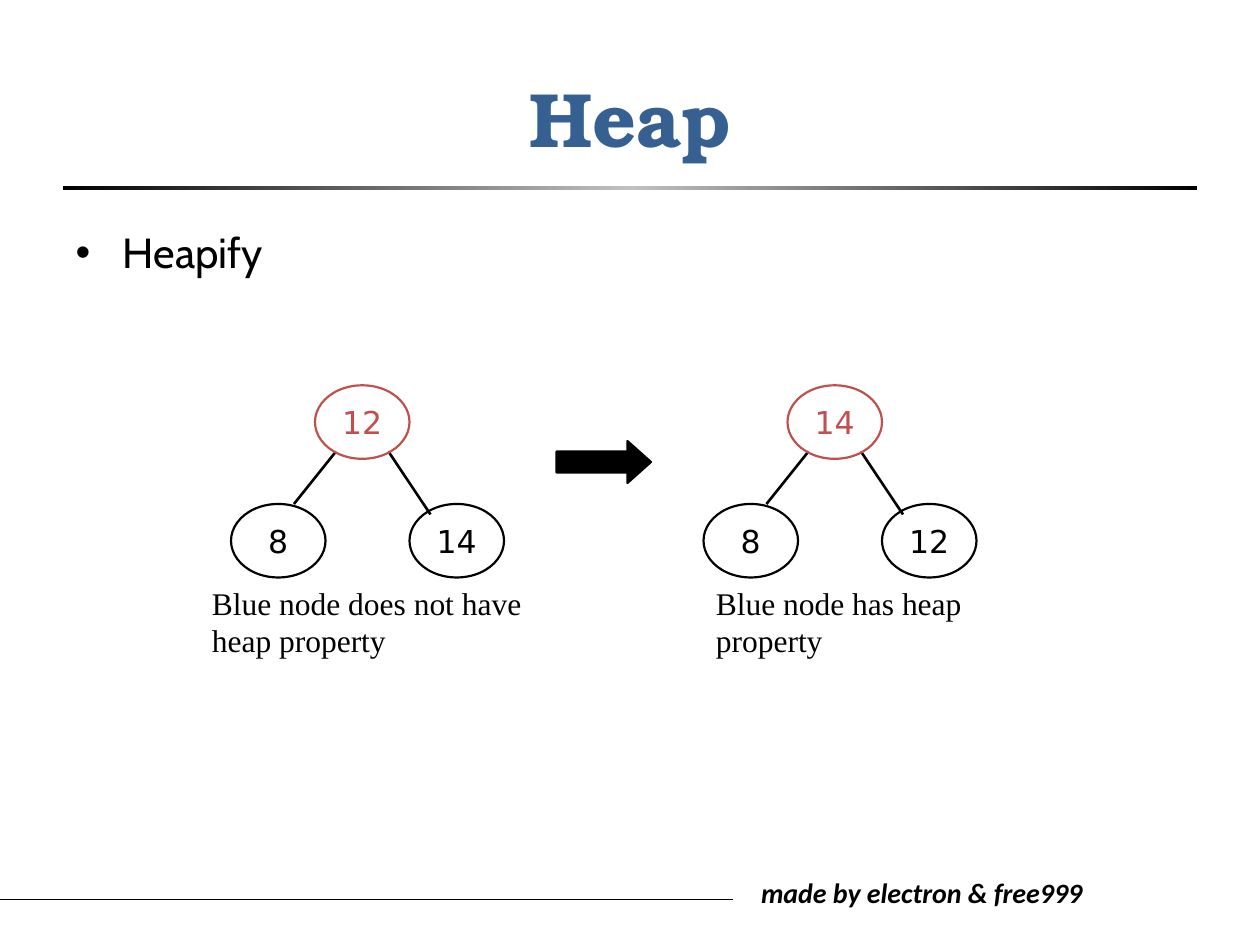
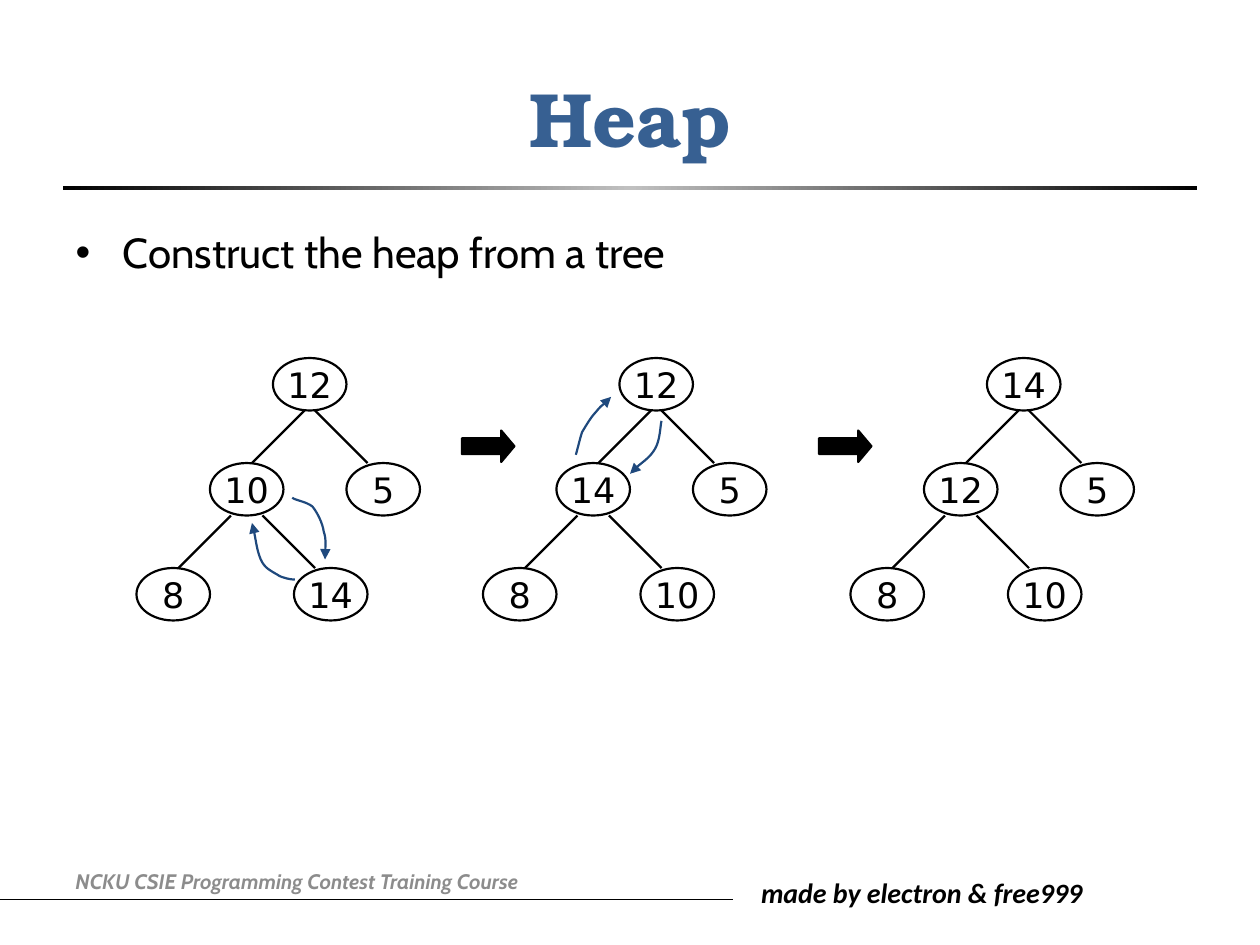
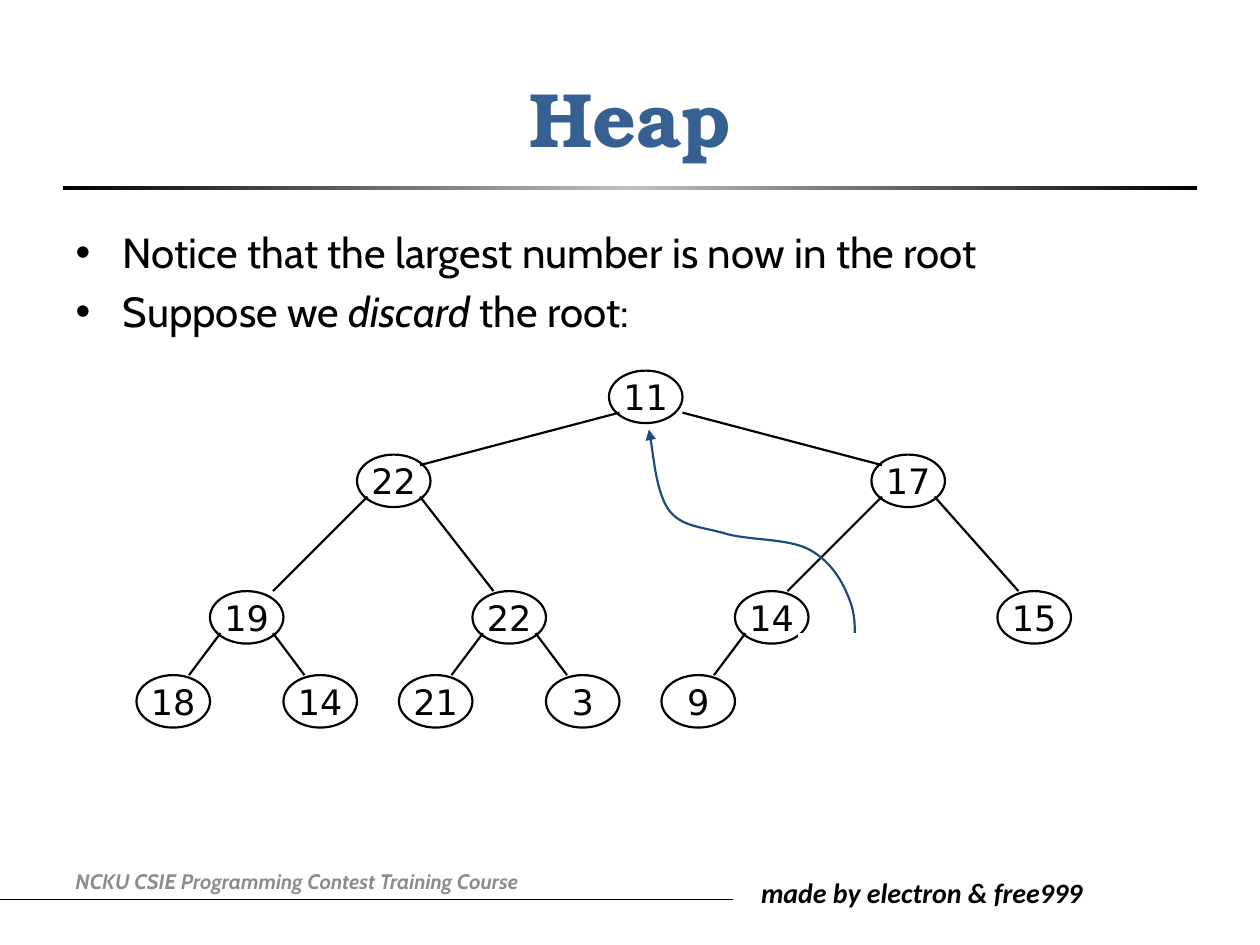
from copy import deepcopy
from dataclasses import dataclass

from lxml.etree import SubElement
from pptx import Presentation
from pptx.dml.color import RGBColor
from pptx.enum.shapes import MSO_CONNECTOR, MSO_SHAPE
from pptx.enum.text import MSO_ANCHOR, PP_ALIGN
from pptx.oxml.ns import qn
from pptx.util import Inches, Pt


@dataclass(frozen=True)
class Theme:
    ink: str = "000000"
    title: str = "376092"
    accent: str = "C0504D"
    swap: str = "1F497D"
    muted: str = "8C8C8C"
    silver: str = "C0C0C0"
    paper: str = "FFFFFF"
    title_font: str = "TeX Gyre Bonum"
    body_font: str = "Cabin"
    node_font: str = "DejaVu Sans"
    caption_font: str = "Times New Roman"
    credit_font: str = "Calibri"
    title_size: int = 44
    body_size: int = 24
    node_size: int = 20
    caption_size: int = 18
    credit_size: int = 16
    course_size: int = 12


T = Theme()
CELL = Inches(1) // 12  # the slide is a grid of 120 columns by 90 rows


def style(p, font, size, color, bold=None):
    for r in p.runs:
        r.font.name, r.font.size, r.font.bold = font, Pt(size), bold
        r.font.color.rgb = RGBColor.from_string(color)


def add_shape(s, kind, col, row, width, height, fill=None, line=None):
    sp = s.shapes.add_shape(kind, *(round(v * CELL) for v in (col, row, width, height)))
    sp.shadow.inherit = False
    if fill:
        sp.fill.solid()
        sp.fill.fore_color.rgb = RGBColor.from_string(fill)
    else:
        sp.fill.background()
    if line:
        sp.line.color.rgb = RGBColor.from_string(line)
        sp.line.width = Pt(1.25)
    else:
        sp.line.fill.background()
    return sp


# Slide 1: a three-node tree before and after, 45 columns apart
heapify = dict(
    bullets=["Heapify"], node=(9, 7, T.caption_size), edge_width=1.5,
    nodes=[], edges=[], arrows=[(53, 42, 9, 4, 0.56)], curves=[], course=False,
    captions=[("Blue node does not have heap property", 19, 55, 34, 10.8),
              ("Blue node has heap property", 67, 55, 26, 10.8)])
for col, (root, left, right) in ((22, ("12", "8", "14")), (67, ("14", "8", "12"))):
    heapify["nodes"] += [(root, col + 8, 36.7, T.accent),
                         (left, col, 48, T.ink), (right, col + 17, 48, T.ink)]
    heapify["edges"] += [(col + 10, 43, col + 6, 48), (col + 15, 43, col + 19, 49)]

# Slide 2: the same five-node tree in three states
construct = dict(
    bullets=["Construct the heap from a tree"], node=(7, 5, T.node_size), edge_width=1.25,
    nodes=[], edges=[], arrows=[(44, 41, 5, 3, 0.42), (78, 41, 5, 3, 0.42)],
    captions=[], course=True,
    curves=[
        [(2.34, 4.6), (2.32, 4.6), (2.24, 4.59), (2.2, 4.56), (2.15, 4.53), (2.1, 4.51),
         (2.07, 4.44), (2.04, 4.37), (2.02, 4.21), (2, 4.15)],
        [(2.32, 3.95), (2.34, 3.97), (2.43, 3.98), (2.48, 4.02), (2.52, 4.07), (2.56, 4.15),
         (2.57, 4.22), (2.59, 4.28), (2.58, 4.4), (2.58, 4.44)],
        [(4.57, 3.61), (4.58, 3.58), (4.6, 3.49), (4.62, 3.43), (4.65, 3.38), (4.69, 3.31),
         (4.73, 3.27), (4.77, 3.22), (4.83, 3.18), (4.85, 3.15)],
        [(5.25, 3.34), (5.24, 3.38), (5.24, 3.49), (5.2, 3.56), (5.16, 3.63), (5.04, 3.71),
         (5, 3.76)]])
places = [(13, 34.1), (7, 44.1), (20, 44.1), (0, 54.1), (15, 54.1)]
branches = [(16, 39.1, 11, 44.1), (17, 39.1, 22, 44.1),
            (9, 49.1, 4, 54.1), (12, 49.1, 17, 54.1)]
for col, labels in ((13, "12 10 5 8 14"), (46, "12 14 5 8 10"), (81, "14 12 5 8 10")):
    construct["nodes"] += [(label, col + x, y, T.ink)
                           for label, (x, y) in zip(labels.split(), places)]
    construct["edges"] += [(col + x1, y1, col + x2, y2) for x1, y1, x2, y2 in branches]

# Slide 3: one tree of four levels, each level a row
levels = [(35.3, [("11", 58)]),
          (43.3, [("22", 34), ("17", 83)]),
          (56.3, [("19", 20), ("22", 45), ("14", 70), ("15", 95)]),
          (64.3, [("18", 13), ("14", 27), ("21", 38), ("3", 52), ("9", 63)])]
joins = [(39.3, 44.3, [(59, 40), (65, 84)]),
         (47.3, 56.3, [(35, 26), (40, 47), (84, 75), (89, 97)]),
         (60.3, 64.3, [(21, 18), (26, 29), (46, 43), (51, 54), (71, 68)])]
discard = dict(
    bullets=["Notice that the largest number is now in the root",
             "Suppose we *discard* the root:"],
    node=(7, 5, T.node_size), edge_width=1.25,
    nodes=[(label, col, row, T.ink) for row, level in levels for label, col in level],
    edges=[(x1, y1, x2, y2) for y1, y2, pairs in joins for x1, x2 in pairs],
    arrows=[], captions=[], course=True, cover=(76, 60.3, 10, 10),
    curves=[
        [(6.75, 5.36), (6.78, 5.15), (6.81, 4.94), (6.75, 4.78), (6.69, 4.61), (6.59, 4.45),
         (6.42, 4.36), (6.25, 4.27), (5.92, 4.29), (5.74, 4.23), (5.56, 4.18), (5.41, 4.18),
         (5.31, 4.05), (5.21, 3.91), (5.18, 3.54), (5.15, 3.41)]])

prs = Presentation()
prs.slide_width, prs.slide_height = 120 * CELL, 90 * CELL

# Title and body positions, set once on the layout
layout = prs.slide_layouts[1]
for ph, top, height in ((layout.placeholders[0], 3.6, 15), (layout.placeholders[1], 21, 59.4)):
    ph.left, ph.width = 6 * CELL, 108 * CELL
    ph.top, ph.height = round(top * CELL), round(height * CELL)

for page in (heapify, construct, discard):
    s = prs.slides.add_slide(layout)

    # Title and the graded rule below it
    s.shapes.title.text_frame.text = "Heap"
    style(s.shapes.title.text_frame.paragraphs[0], T.title_font, T.title_size, T.title, True)
    rule = add_shape(s, MSO_SHAPE.RECTANGLE, 6, 17.76, 108, 0.36)
    rule.fill.gradient()
    rule.fill.gradient_angle = 0
    stops = rule.element.spPr.find(qn("a:gradFill")).find(qn("a:gsLst"))
    stops.insert(1, deepcopy(stops[0]))
    for stop, color, position in zip(rule.fill.gradient_stops,
                                     (T.ink, T.silver, T.ink), (0, 0.5, 1)):
        stop.color.rgb = RGBColor.from_string(color)
        stop.position = position

    # Bullets, with the words between asterisks in italics
    tf = s.placeholders[1].text_frame
    for i, bullet in enumerate(page["bullets"]):
        p = tf.add_paragraph() if i else tf.paragraphs[0]
        for j, part in enumerate(bullet.split("*")):
            r = p.add_run()
            r.text = part
            r.font.italic = j % 2 == 1
        style(p, T.body_font, T.body_size, T.ink)

    # Captions and footer texts
    texts = [(*caption, T.caption_font, T.caption_size, T.ink, False)
             for caption in page["captions"]]
    texts.append(("made by electron & free999", 71.3, 82.8, 34.6, 4.4,
                  T.credit_font, T.credit_size, T.ink, True))
    if page["course"]:
        texts.append(("NCKU CSIE Programming Contest Training Course", 6, 81.5, 55.9, 4.8,
                      T.body_font, T.course_size, T.muted, True))
    for text, col, row, width, height, font, size, color, footer in texts:
        sp = s.shapes.add_textbox(*(round(v * CELL) for v in (col, row, width, height)))
        tf = sp.text_frame
        tf.word_wrap = True
        tf.vertical_anchor = MSO_ANCHOR.MIDDLE if footer else MSO_ANCHOR.TOP
        tf.text = text
        style(tf.paragraphs[0], font, size, color, footer)
        tf.paragraphs[0].runs[0].font.italic = footer

    # Footer line and tree edges
    lines = [(0, 85.7, 69.8, 85.7, 0.5)]
    lines += [(*edge, page["edge_width"]) for edge in page["edges"]]
    for *ends, weight in lines:
        line = s.shapes.add_connector(MSO_CONNECTOR.STRAIGHT, *(round(v * CELL) for v in ends))
        line.line.color.rgb = RGBColor.from_string(T.ink)
        line.line.width = Pt(weight)
        SubElement(line.element.spPr, qn("a:effectLst"))

    # Swap curves: every three points after the first form one Bézier segment
    for curve in page["curves"]:
        (x, y), *rest = [(Inches(x), Inches(y)) for x, y in curve]
        builder = s.shapes.build_freeform(x, y)
        builder.add_line_segments(rest, close=False)
        sp = builder.convert_to_shape()
        sp.shadow.inherit = False
        sp.fill.background()
        sp.line.color.rgb = RGBColor.from_string(T.swap)
        sp.line.width = Pt(1.25)
        SubElement(sp.element.spPr.find(qn("a:ln")), qn("a:tailEnd"), type="triangle")
        outline = next(sp.element.iter(qn("a:path")))
        segments = outline.findall(qn("a:lnTo"))
        for k in range(0, len(segments), 3):
            bezier = SubElement(outline, qn("a:cubicBezTo"))
            for segment in segments[k:k + 3]:
                bezier.append(segment[0])
                outline.remove(segment)

    # Tree nodes
    width, height, size = page["node"]
    for label, col, row, color in page["nodes"]:
        sp = add_shape(s, MSO_SHAPE.OVAL, col, row, width, height, line=color)
        tf = sp.text_frame
        tf.word_wrap = False
        tf.vertical_anchor = MSO_ANCHOR.MIDDLE
        tf.text = label
        tf.paragraphs[0].alignment = PP_ALIGN.CENTER
        style(tf.paragraphs[0], T.node_font, size, color)

    # Block arrows between the states
    for *box, head in page["arrows"]:
        sp = add_shape(s, MSO_SHAPE.RIGHT_ARROW, *box, fill=T.ink, line=T.ink)
        sp.adjustments[1] = head

    # Blank area where the moved leaf used to be
    if "cover" in page:
        add_shape(s, MSO_SHAPE.RECTANGLE, *page["cover"], fill=T.paper)

prs.save("out.pptx")
